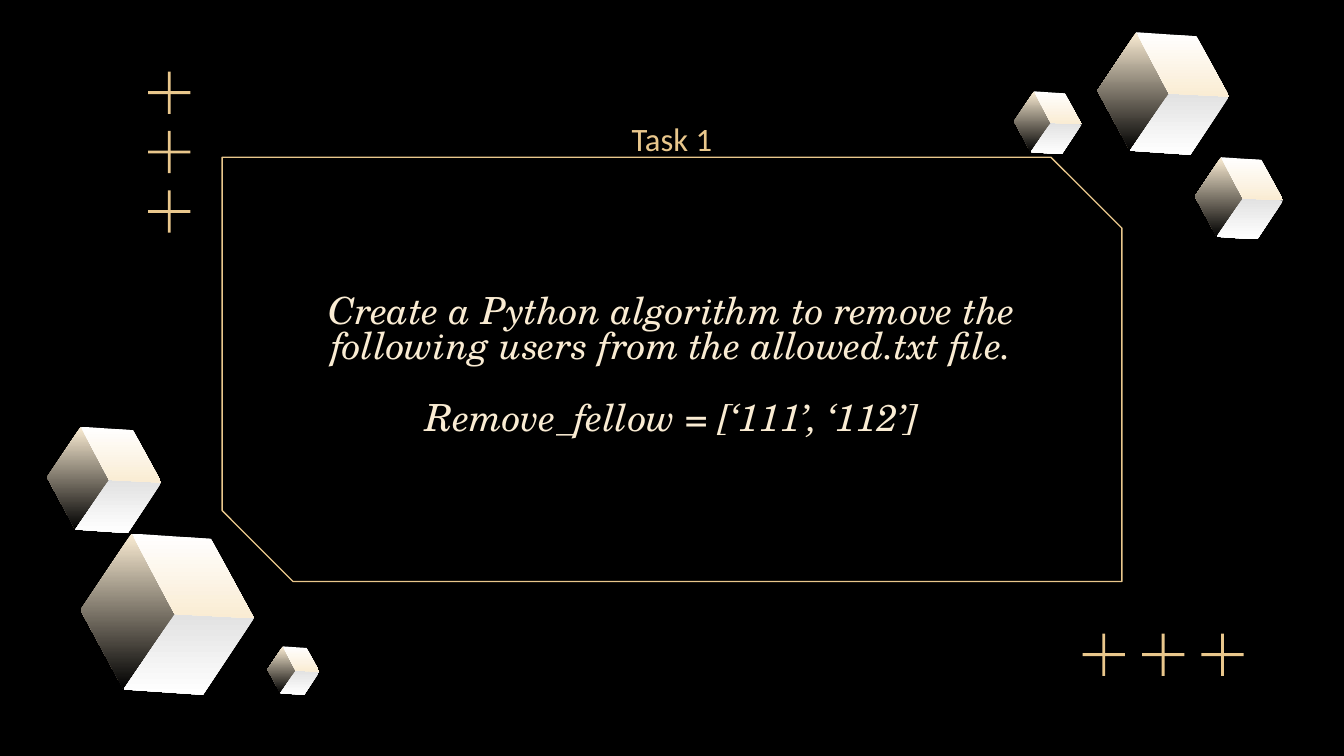
from dataclasses import dataclass

from pptx import Presentation, util as u
from pptx.dml.color import RGBColor
from pptx.enum import shapes as sh, text as tx


@dataclass(frozen=True)
class Theme:
    """Colours, fonts and type sizes."""
    back: str = "000000"
    gold: str = "E9C78C"
    cream: str = "FAECD3"
    white: str = "FFFFFF"
    grey: str = "E2E2E2"
    serif: str = "TeX Gyre Schola"
    sans: str = "Calibri"
    body: float = 20
    label: float = 17.5
    gap: float = 19


T = Theme()
COLS, ROWS = 100, 56.25
STEP = 4.42
BAR, THIN = 3.15, 0.22

NODES = {
    "top": (3.8, 0), "left": (0, 5.7), "foot": (3.2, 11.6), "mid": (7, 6),
    "right": (12.9, 6.3), "base": (9.1, 12), "peak": (9.7, 0.4),
}
FACES = [
    (("top", "left", "foot", "mid"), T.cream, T.back),
    (("mid", "right", "base", "foot"), T.grey, T.white),
    (("top", "peak", "right", "mid"), T.white, T.cream),
]
CUBES = [
    (6, 39.7, 1), (3.5, 31.75, 0.66), (19.9, 48.1, 0.3),
    (81.65, 2.4, 0.76), (88.9, 11.7, 0.51), (75.45, 6.8, 0.39),
]


def grid(*vals):
    """Turn grid units, a tenth of an inch each, into lengths."""
    return [u.Inches(v / 10) for v in vals]


def rgb(code):
    """Make a colour from its hex code."""
    return RGBColor.from_string(code)


def write(slide, box, paras, size, font, color, italic=False, lead=None, gap=0):
    """Add a centred text box with one format."""
    frame = slide.shapes.add_textbox(*grid(*box)).text_frame
    frame.word_wrap = True
    frame.vertical_anchor = tx.MSO_ANCHOR.MIDDLE
    frame.margin_top = frame.margin_bottom = u.Inches(0.1)
    frame.text = "\n".join(paras)
    for i, para in enumerate(frame.paragraphs):
        para.alignment = tx.PP_ALIGN.CENTER
        para.line_spacing = lead
        para.space_before = u.Pt(gap if i else 0)
        face = para.runs[0].font
        face.size, face.name, face.italic = u.Pt(size), font, italic
        face.color.rgb = rgb(color)


def panel(slide, box):
    """Outline a panel with two snipped corners."""
    shape = slide.shapes.add_shape(sh.MSO_SHAPE.SNIP_2_DIAG_RECTANGLE, *grid(*box))
    shape.adjustments[0], shape.adjustments[1] = 0, 0.167
    shape.shadow.inherit = False
    shape.fill.background()
    shape.line.color.rgb = rgb(T.gold)
    shape.line.width = u.Pt(0.75)


def plus(slide, x, y):
    """Draw a plus sign centred on a grid point."""
    for w, h in ((BAR, THIN), (THIN, BAR)):
        box = grid(x - w / 2, y - h / 2, w, h)
        bar = slide.shapes.add_shape(sh.MSO_SHAPE.RECTANGLE, *box)
        bar.shadow.inherit = False
        bar.fill.solid()
        bar.fill.fore_color.rgb = rgb(T.gold)
        bar.line.fill.background()


def cube(slide, x, y, size):
    """Draw a cube from three shaded faces."""
    for names, *tones in FACES:
        pts = [grid(x + NODES[n][0] * size, y + NODES[n][1] * size) for n in names]
        pen = slide.shapes.build_freeform(*pts[0])
        pen.add_line_segments(pts[1:], close=True)
        face = pen.convert_to_shape()
        face.shadow.inherit = False
        face.line.fill.background()
        face.fill.gradient()
        face.fill.gradient_angle = 270
        for stop, tone in zip(face.fill.gradient_stops, tones):
            stop.color.rgb = rgb(tone)


def main():
    """Build and save the task slide."""
    deck = Presentation()
    deck.slide_width, deck.slide_height = grid(COLS, ROWS)
    slide = deck.slides.add_slide(deck.slide_layouts[6])
    slide.background.fill.solid()
    slide.background.fill.fore_color.rgb = rgb(T.back)

    panel(slide, (16.53, 11.7, 66.94, 31.57))
    task = [
        "Create a Python algorithm to remove the following users "
        "from the allowed.txt file.",
        "Remove_fellow = [‘111’, ‘112’]",
    ]
    write(slide, (17.8, 14.4, 64.4, 25.8), task, T.body, T.serif, T.cream,
          italic=True, lead=0.8, gap=T.gap)
    write(slide, (17.8, 7.7, 64.4, 5.2), ["Task 1"], T.label, T.sans, T.gold)

    for i in range(3):
        plus(slide, 12.6, 6.9 + i * STEP)
        plus(slide, 82.13 + i * STEP, 48.72)
    for spot in CUBES:
        cube(slide, *spot)
    deck.save("out.pptx")


if __name__ == "__main__":
    main()
